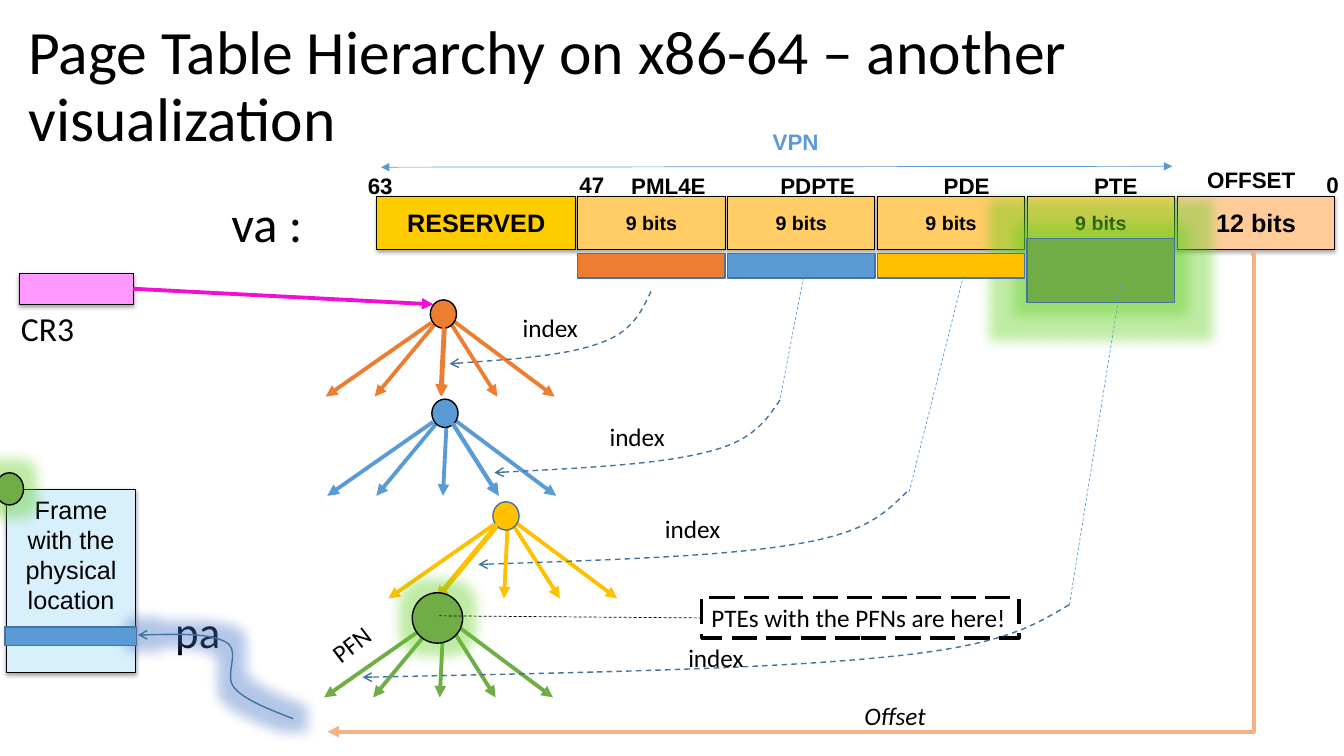
from lxml import etree
from pptx import Presentation
from pptx import util as u
from pptx.dml.color import RGBColor
from pptx.enum import dml, shapes, text
from pptx.oxml import parse_xml
from pptx.oxml.ns import nsdecls, qn

Pt = u.Pt
RECT, OVAL = shapes.MSO_SHAPE.RECTANGLE, shapes.MSO_SHAPE.OVAL
LINE, ELBOW = shapes.MSO_CONNECTOR.STRAIGHT, shapes.MSO_CONNECTOR.ELBOW
DASH, LONG = dml.MSO_LINE.DASH, dml.MSO_LINE.LONG_DASH
LEFT, MID = text.PP_ALIGN.LEFT, text.PP_ALIGN.CENTER
TOP, HALF, LOW = (text.MSO_ANCHOR.TOP, text.MSO_ANCHOR.MIDDLE,
                  text.MSO_ANCHOR.BOTTOM)
HUES = {
    "black": "000000", "orange": "ED7D31", "blue": "5B9BD5", "gold": "FFC000",
    "green": "70AD47", "edge": "43739E", "bits": "FFCC66", "held": "FFCC00",
    "peach": "FFCC99", "path": "F4B183", "pink": "FF99FF", "hot": "F10FD6",
    "frame": "D7F0FB", "lime": "61CF1E", "haze": "4472C4",
}
SHADE = ('<a:outerShdw %s blurRad="39370" dist="22860" dir="5400000">'
         '<a:srgbClr val="000000"><a:alpha val="35000"/></a:srgbClr>'
         '</a:outerShdw>') % nsdecls("a")
GLOW = ('<a:glow %s rad="{}"><a:srgbClr val="{}"><a:alpha val="40000"/>'
        '</a:srgbClr></a:glow>') % nsdecls("a")
LIME, HAZE = (GLOW.format(Pt(18), HUES[hue]) for hue in ("lime", "haze"))


def ink(item, line, width, fill=None, dash=None, head=None, tail=None, fx=None):
    """Set the outline, fill, arrowheads and effect of a shape or connector."""
    item.line.color.rgb = RGBColor.from_string(HUES[line])
    item.line.width = Pt(width)
    if dash:
        item.line.dash_style = dash
    for tag, kind in (("a:headEnd", head), ("a:tailEnd", tail)):
        if kind:
            etree.SubElement(item.line._ln, qn(tag), type=kind)
    if fill:
        item.fill.solid()
        item.fill.fore_color.rgb = RGBColor.from_string(HUES[fill])
    elif hasattr(item, "fill"):
        item.fill.background()
    glow = etree.SubElement(item._element.spPr, qn("a:effectLst"))
    if fx:
        glow.append(parse_xml(fx))


def say(item, words, size, face="Calibri", hue="black", align=MID,
        anchor=TOP, wrap=True, grow=False, **font):
    """Write one paragraph into a shape."""
    frame = item.text_frame
    fit = text.MSO_AUTO_SIZE.SHAPE_TO_FIT_TEXT if grow else text.MSO_AUTO_SIZE.NONE
    form = {"text": words, "word_wrap": wrap, "vertical_anchor": anchor,
            "auto_size": fit}
    for key, val in form.items():
        setattr(frame, key, val)
    para = frame.paragraphs[0]
    para.alignment = align
    run = para.runs[0]
    for key, val in {"size": Pt(size), "name": face, **font}.items():
        setattr(run.font, key, val)
    run.font.color.rgb = RGBColor.from_string(HUES[hue])
    return para


deck = Presentation()
deck.slide_width, deck.slide_height = Pt(960), Pt(540)
slide = deck.slides.add_slide(deck.slide_layouts[5])
art = slide.shapes

title = art.title
for key, val in {"left": 13, "top": 10.6, "width": 828, "height": 104.4}.items():
    setattr(title, key, Pt(val))
para = say(title, "Page Table Hierarchy on x86-64 – another visualization", 44,
           align=LEFT, anchor=HALF)
para.line_spacing = 0.9

# Address fields and their labels
STEP, FIRST, CELL = 107, 412.7, 105.3
fields = [("RESERVED", 269.3, 141.8, "held", 18), ("12 bits", 841, 112.3, "peach", 18)]
fields += [("9 bits", FIRST + STEP * i, CELL, "bits", 14) for i in range(4)]
for words, left, width, fill, size in fields:
    cell = art.add_shape(RECT, Pt(left), Pt(140.2), Pt(width), Pt(38))
    ink(cell, "black", 0.75, fill, fx=SHADE)
    say(cell, words, size, "Arial", anchor=HALF, bold=True)

labels = [("OFFSET", 851.8, 115.2, 84, "black"), ("0", 933.8, 118.8, 36, "black"),
          ("47", 401.8, 118.8, 42, "black"), ("63", 250.6, 119.2, 42, "black"),
          ("VPN", 526.3, 87.8, 84, "blue")]
labels += [(name, 435.5 + 106.5 * i, 119.2, 84, "black")
           for i, name in enumerate(("PML4E", "PDPTE", "PDE", "PTE"))]
for words, left, top, width, hue in labels:
    label = art.add_textbox(Pt(left), Pt(top), Pt(width), Pt(26.6))
    say(label, words, 16, "Arial", hue, grow=True, bold=True)

span = art.add_connector(LINE, Pt(272.2), Pt(119.4), Pt(837.4), Pt(118.8))
ink(span, "blue", 0.5, head="triangle", tail="triangle")

# Tree levels: five branches each, the taken one drawn over the node
rays = [(-10, 5.5, -85.5), (0, -2.5, -50.5), (0, 0, -2.9), (0, 0, 37), (0, 0, 78)]
levels = [("orange", 318.2, 225, 2, "black"), ("blue", 319.3, 295.9, 3, "black"),
          ("gold", 362.9, 369.2, 1, "edge"), ("green", 317, 439.9, 0, None)]
for hue, x, y, taken, edge in levels:
    fan = [(ray, 0) for ray in rays]
    if edge:
        fan.append((rays[taken], 0.7))
    for i, ((dx, dy, far), nudge) in enumerate(fan):
        if i == len(rays):
            node = art.add_shape(OVAL, Pt(x - 10.8), Pt(y - 10.8), Pt(18.7), Pt(20.2))
            ink(node, edge, 1, hue)
        ray = art.add_connector(LINE, Pt(x + dx - nudge), Pt(y + dy - nudge),
                                Pt(x + far - nudge), Pt(y + 58.3 - nudge))
        ink(ray, hue, 2.75, tail="triangle")

# Index strips below the fields
for i, hue in ((3, "green"), (2, "gold"), (1, "blue"), (0, "orange")):
    top, high, fx = (170.6, 45.4, LIME) if i == 3 else (181.3, 17.3, None)
    strip = art.add_shape(RECT, Pt(FIRST + STEP * i), Pt(top), Pt(CELL), Pt(high))
    ink(strip, "edge", 1, hue, fx=fx)

leaf = art.add_shape(OVAL, Pt(294.5), Pt(423.4), Pt(36), Pt(36))
ink(leaf, "black", 1, "green", fx=LIME)

# Offset path and the note on the entries
route = art.add_connector(ELBOW, Pt(893.8), Pt(181.4), Pt(234), Pt(522.7))
ink(route, "path", 2.75, tail="triangle")
bend = route._element.spPr.prstGeom.get_or_add_avLst()
etree.SubElement(bend, qn("a:gd"), name="adj1", fmla="val -300")

note = art.add_shape(RECT, Pt(501.1), Pt(427), Pt(226.8), Pt(28.8))
ink(note, "black", 2.25, dash=LONG)
say(note, "PTEs with the PFNs are here!", 18, align=LEFT, wrap=False, grow=True)
lead = art.add_connector(LINE, Pt(501.1), Pt(441.4), Pt(313.9), Pt(439.9))
lead.begin_connect(note, 1)
ink(lead, "black", 0.5, dash=DASH)

# Physical frame
frame = art.add_shape(RECT, Pt(4.8), Pt(349.4), Pt(92), Pt(130.8))
ink(frame, "black", 0.75, "frame", fx=SHADE)
say(frame, "Frame with the physical location", 18, "Arial")

captions = [("PFN", 229, 445.7, 43.9, 28.8, 18, 322.6, False),
            ("Offset", 610.4, 496.8, 59, 28.8, 18, 0, True),
            ("pa", 118.1, 427.7, 46.8, 46.1, 32, 0, False),
            ("va :", 158.2, 133.9, 65.5, 51.1, 36, 0, False),
            ("CR3", 7.9, 216.7, 52.6, 36, 24, 0, False)]
for words, left, top, width, high, size, turn, slant in captions:
    box = art.add_textbox(Pt(left), Pt(top), Pt(width), Pt(high))
    box.rotation = turn
    say(box, words, size, align=LEFT, wrap=False, grow=True, italic=slant)

# Curved arrows: index curves share one shape, scaled to their width
sweep = [(0, 0), (0.05, 0.28), (0.09, 0.56), (0.26, 0.72), (0.43, 0.89),
         (0.71, 0.94), (1, 1)]
curves = [([(x - width * a, y + 51.8 * b) for a, b in sweep], stem, DASH, seat, None)
          for x, y, width, stem, seat in (
              (465.1, 208.1, 144, None, HALF),
              (557.1, 285.8, 204, (557.3, 284.4, 573.8, 198.7), HALF),
              (647.7, 351.4, 306, (649.4, 351.4, 688.3, 196.6), HALF),
              (763.7, 432, 504.7, (763.9, 432, 800.6, 203), LOW))]
curves.append(([(209.5, 513.4), (193, 506.9), (175.7, 500.4), (167.8, 491.8),
                (159.1, 482.4), (172.8, 465.1), (161.3, 458.6), (149.8, 452.2),
                (123.8, 452.9), (98.6, 453.6)], None, None, None, HAZE))
for points, stem, dash, seat, fx in curves:
    host = art.add_group_shape().shapes if stem else art
    dots = [(Pt(x), Pt(y)) for x, y in points]
    pen = host.build_freeform(*dots[0])
    pen.add_line_segments(dots[1:], close=False)
    curve = pen.convert_to_shape()
    track = curve._element.spPr.find(".//" + qn("a:path"))
    lines = track.findall(qn("a:lnTo"))
    for i in range(0, len(lines), 3):
        arc = etree.SubElement(track, qn("a:cubicBezTo"))
        for part in lines[i:i + 3]:
            arc.append(part[0])
            track.remove(part)
    ink(curve, "edge", 1, dash=dash, tail="arrow", fx=fx)
    if seat is not None:
        say(curve, "index", 18, anchor=seat)
    if stem:
        ink(host.add_connector(LINE, *map(Pt, stem)), "blue", 0.5, dash=DASH)

# Target in the frame, and the root register
word = art.add_shape(RECT, Pt(3.6), Pt(447.8), Pt(94), Pt(13.5))
ink(word, "edge", 1, "blue")
root = art.add_shape(RECT, Pt(14), Pt(195.1), Pt(81.2), Pt(22.3))
ink(root, "black", 0.75, "pink", fx=SHADE)
jump = art.add_connector(LINE, Pt(95), Pt(206.3), Pt(309.6), Pt(217.4))
jump.begin_connect(root, 3)
ink(jump, "hot", 2.75, tail="triangle")
badge = art.add_shape(OVAL, Pt(-3.4), Pt(337.7), Pt(20.2), Pt(23))
ink(badge, "black", 1, "green", fx=LIME)

deck.save("out.pptx")
